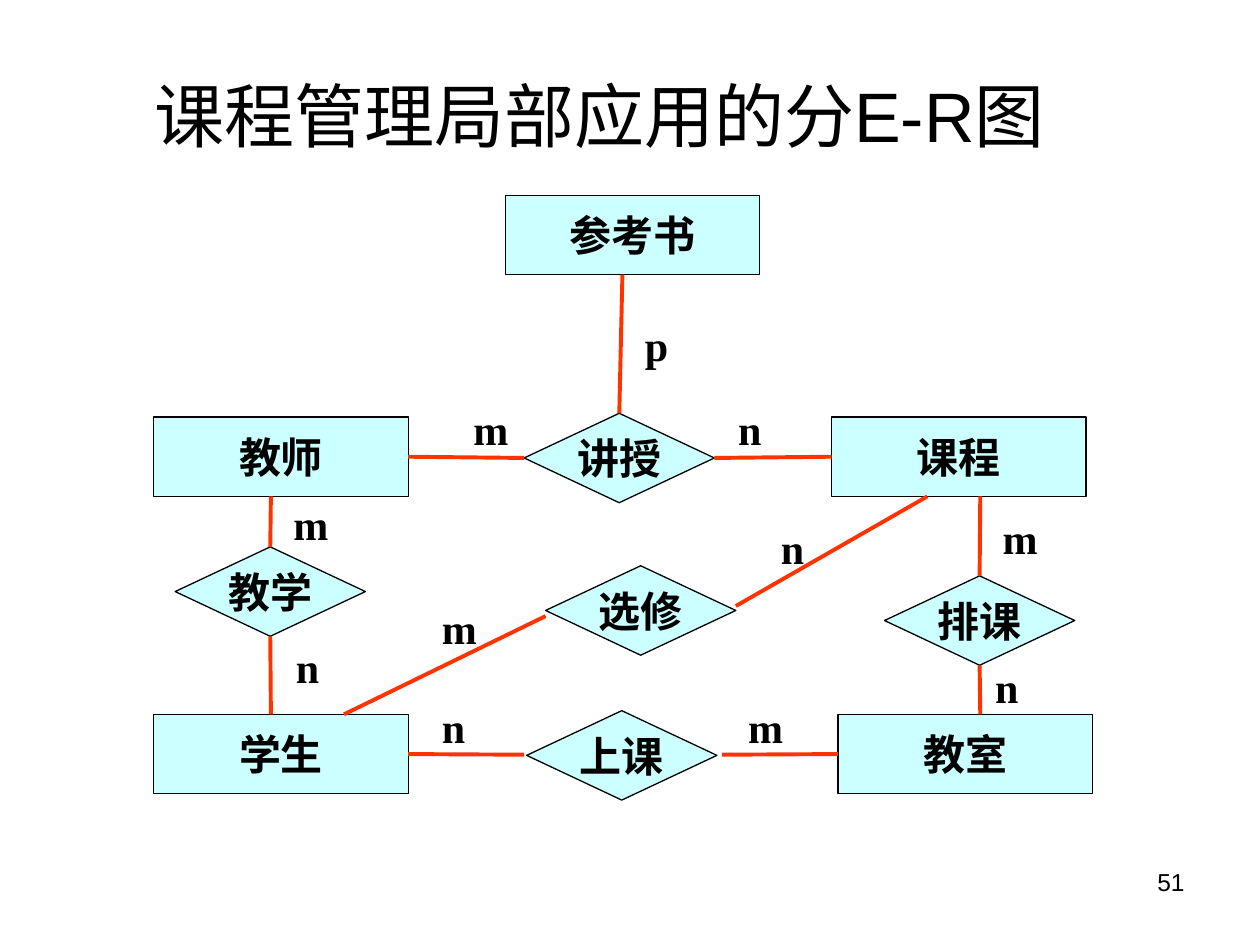
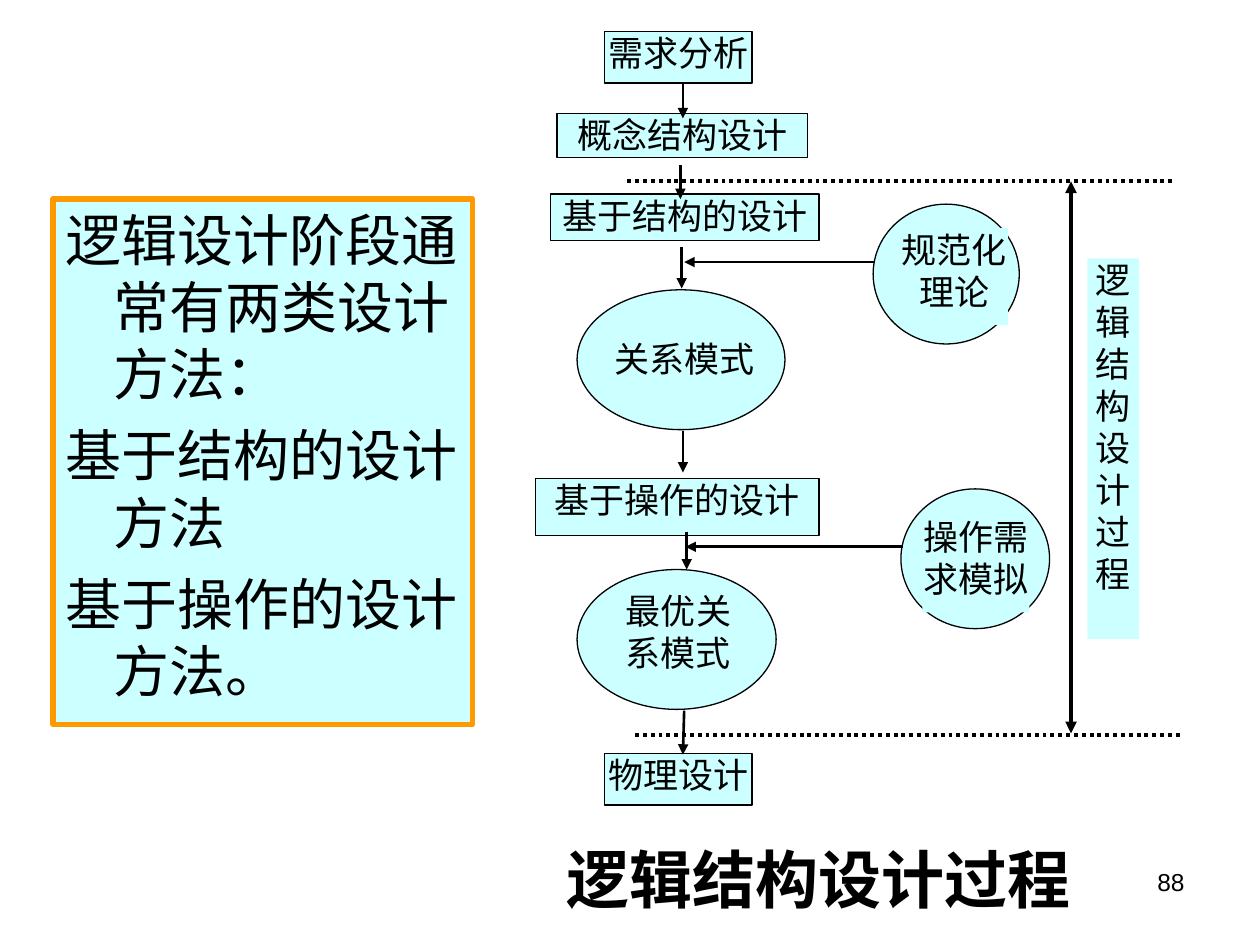
from lxml import etree
from pptx import Presentation
from pptx.dml.color import RGBColor
from pptx.enum.dml import MSO_LINE_DASH_STYLE as DASH
from pptx.enum.shapes import MSO_CONNECTOR, MSO_SHAPE as SHAPE
from pptx.enum.text import MSO_ANCHOR as ANCHOR, MSO_AUTO_SIZE as AUTO, PP_ALIGN as ALIGN
from pptx.oxml.ns import qn
from pptx.util import Inches, Pt

BLACK = RGBColor(0x00, 0x00, 0x00)
PALE_CYAN = RGBColor(0xCC, 0xFF, 0xFF)
ORANGE = RGBColor(0xFF, 0x99, 0x00)
RED = RGBColor(0xFF, 0x33, 0x00)
SANS, SERIF = "Arial", "Times New Roman"
TOP, LEFT, BOTTOM, RIGHT = range(4)


def add_text(shape, lines, size, font=SERIF, bold=False, align=ALIGN.CENTER,
             anchor=ANCHOR.TOP, wrap=True, inset=True, before=0):
    """Fill a shape with paragraphs that share one style."""
    tf = shape.text_frame
    tf.word_wrap = wrap
    tf.vertical_anchor = anchor
    if not inset:
        tf.margin_left = tf.margin_top = tf.margin_right = tf.margin_bottom = 0
    tf.text = "\n".join(lines)
    for p in tf.paragraphs:
        p.alignment = align
        p.space_before = Pt(before)
        p.font.name, p.font.size, p.font.bold = font, Pt(size), bold
        p.font.color.rgb = BLACK
    return tf


def add_box(s, kind, x, y, w, h, line=BLACK, weight=0.75):
    """Pale cyan shape, outlined unless line is None."""
    sp = s.shapes.add_shape(kind, Inches(x), Inches(y), Inches(w), Inches(h))
    sp.shadow.inherit = False
    sp.fill.solid()
    sp.fill.fore_color.rgb = PALE_CYAN
    if line is None:
        sp.line.fill.background()
    else:
        sp.line.color.rgb = line
        sp.line.width = Pt(weight)
    return sp


def add_label(s, text, x, y, w, h, size, **style):
    tb = s.shapes.add_textbox(Inches(x), Inches(y), Inches(w), Inches(h))
    return add_text(tb, [text], size, **style)


def add_page_number(s, number):
    add_label(s, str(number), 7.17, 6.83, 2.33, 0.52, 14, font=SANS, align=ALIGN.RIGHT)


def add_line(s, start, end, color=BLACK, weight=1.5, dash=None, arrows=()):
    """Line between two ends, each a point (x, y) or a joint (shape, side)."""
    def is_point(e):
        return isinstance(e[0], (int, float))

    (x1, y1), (x2, y2) = [e if is_point(e) else (0, 0) for e in (start, end)]
    cn = s.shapes.add_connector(MSO_CONNECTOR.STRAIGHT, Inches(x1), Inches(y1),
                                Inches(x2), Inches(y2))
    if not is_point(start):
        cn.begin_connect(*start)
    if not is_point(end):
        cn.end_connect(*end)
    cn.line.color.rgb = color
    cn.line.width = Pt(weight)
    if dash:
        cn.line.dash_style = dash
    ln = cn.line._get_or_add_ln()
    for tag in arrows:
        etree.SubElement(ln, qn(tag), type="triangle")
    etree.SubElement(cn._element.spPr, qn("a:effectLst"))


def add_er_node(s, kind, text, x, y, w, h):
    sp = add_box(s, kind, x, y, w, h)
    add_text(sp, [text], 24, bold=True, anchor=ANCHOR.MIDDLE, wrap=False)
    return sp


def add_cardinality(s, text, x, y, w=0.34):
    tf = add_label(s, text, x, y, w, 0.5, 24, bold=True, before=15)
    tf.auto_size = AUTO.SHAPE_TO_FIT_TEXT


def build_er_slide(prs):
    s = prs.slides.add_slide(prs.slide_layouts[6])
    add_page_number(s, 51)
    add_label(s, "课程管理局部应用的分E-R图", 0.51, 0.28, 8.5, 1.25, 40,
              font=SANS, anchor=ANCHOR.MIDDLE)

    # Entities and relationships
    entities = {"学生": (1.22, 5.67), "教师": (1.22, 3.31), "课程": (6.6, 3.31),
                "教室": (6.65, 5.67), "参考书": (4.01, 1.55)}
    relations = {"教学": (1.39, 4.34), "上课": (4.18, 5.64), "讲授": (4.16, 3.28),
                 "选修": (4.33, 4.49), "排课": (7.02, 4.57)}
    nodes = {}
    for kind, places, size in ((SHAPE.RECTANGLE, entities, (2.02, 0.63)),
                               (SHAPE.FLOWCHART_DECISION, relations, (1.51, 0.71))):
        for text, place in places.items():
            nodes[text] = add_er_node(s, kind, text, *place, *size)

    # Links
    links = [
        ((4.94, 2.18), (nodes["讲授"], TOP)),
        ((nodes["教师"], RIGHT), (nodes["讲授"], LEFT)),
        ((nodes["讲授"], RIGHT), (nodes["课程"], LEFT)),
        ((2.15, 3.94), (nodes["教学"], TOP)),
        ((nodes["教学"], BOTTOM), (2.15, 5.67)),
        ((7.78, 3.94), (nodes["排课"], TOP)),
        ((nodes["排课"], BOTTOM), (7.78, 5.67)),
        ((nodes["学生"], RIGHT), (4.16, 5.99)),
        ((5.73, 5.99), (nodes["教室"], LEFT)),
        ((7.36, 3.94), (5.84, 4.81)),
        ((4.33, 4.89), (2.73, 5.67)),
    ]
    for start, end in links:
        add_line(s, start, end, RED, 2.25)

    # Cardinalities
    for text, *place in [
        ("p", 5.02, 2.49), ("m", 3.66, 3.15), ("n", 5.76, 3.15),
        ("m", 2.23, 3.91), ("n", 2.23, 5.04, 0.42),
        ("m", 3.41, 4.73), ("n", 6.1, 4.1),
        ("m", 7.86, 4.02), ("n", 7.78, 5.2, 0.42),
        ("n", 3.41, 5.52), ("m", 5.84, 5.52),
    ]:
        add_cardinality(s, text, *place)


def add_step(s, text, x, y, w, h, line=BLACK):
    sp = add_box(s, SHAPE.RECTANGLE, x, y, w, h, line)
    add_text(sp, [text], 20, inset=False)


def build_process_slide(prs):
    s = prs.slides.add_slide(prs.slide_layouts[6])
    add_page_number(s, 88)

    # Summary panel
    panel = add_box(s, SHAPE.RECTANGLE, 0.42, 1.58, 3.33, 4.17, ORANGE, 3)
    tf = add_text(panel, ["逻辑设计阶段通常有两类设计方法：", "基于结构的设计方法",
                          "基于操作的设计方法。"],
                  32, font=SANS, align=ALIGN.LEFT, before=8)
    for p in tf.paragraphs:
        pPr = p._p.get_or_add_pPr()
        pPr.set("marL", str(Inches(0.38)))
        pPr.set("indent", str(-Inches(0.38)))

    add_label(s, "逻辑结构设计过程", 4.25, 6.67, 4.5, 0.67, 36, bold=True, inset=False)

    # Ellipses
    for x, y, w in [(7.15, 3.88, 1.18), (6.93, 1.62, 1.16),
                    (4.58, 2.3, 1.65), (4.58, 4.52, 1.58)]:
        add_box(s, SHAPE.OVAL, x, y, w, 1.11)

    # Design steps
    for step in [
        ("需求分析", 4.8, 0.25, 1.17, 0.41),
        ("概念结构设计", 4.42, 0.9, 1.99, 0.35),
        ("基于结构的设计", 4.37, 1.54, 2.13, 0.37),
        ("基于操作的设计", 4.25, 3.8, 2.25, 0.45),
        ("物理设计", 4.8, 5.98, 1.17, 0.41),
    ]:
        add_step(s, *step)

    # Ellipse captions and the side caption
    for caption in [
        ("关系模式", 4.85, 2.68, 1.17, 0.41),
        ("最优关系模式", 4.96, 4.68, 0.85, 0.77),
        ("规范化理论", 7.15, 1.81, 0.85, 0.77),
        ("操作需求模拟", 7.32, 4.09, 0.85, 0.77),
        ("逻辑结构设计过程", 8.63, 2.05, 0.41, 3.02),
    ]:
        add_step(s, *caption, line=None)

    # Flow arrows
    for start, end in [
        ((5.42, 0.67), (5.42, 0.94)), ((5.4, 1.31), (5.4, 1.58)),
        ((5.41, 1.96), (5.41, 2.29)), ((5.42, 3.42), (5.42, 3.75)),
        ((5.45, 4.22), (5.45, 4.52)), ((5.43, 5.64), (5.42, 5.99)),
        ((7.17, 4.34), (5.44, 4.34)), ((6.94, 2.08), (5.43, 2.08)),
    ]:
        add_line(s, start, end, arrows=["a:tailEnd"])

    # Extent of the logical design phase
    for x, y in [(4.98, 1.44), (5.04, 5.83)]:
        add_line(s, (x, y), (x + 4.35, y), weight=2.25, dash=DASH.ROUND_DOT)
    add_line(s, (8.5, 1.44), (8.5, 5.82), weight=2.25, arrows=["a:headEnd", "a:tailEnd"])


def main():
    prs = Presentation()
    prs.slide_width, prs.slide_height = Inches(10), Inches(7.5)
    build_er_slide(prs)
    build_process_slide(prs)
    prs.save("out.pptx")


if __name__ == "__main__":
    main()
